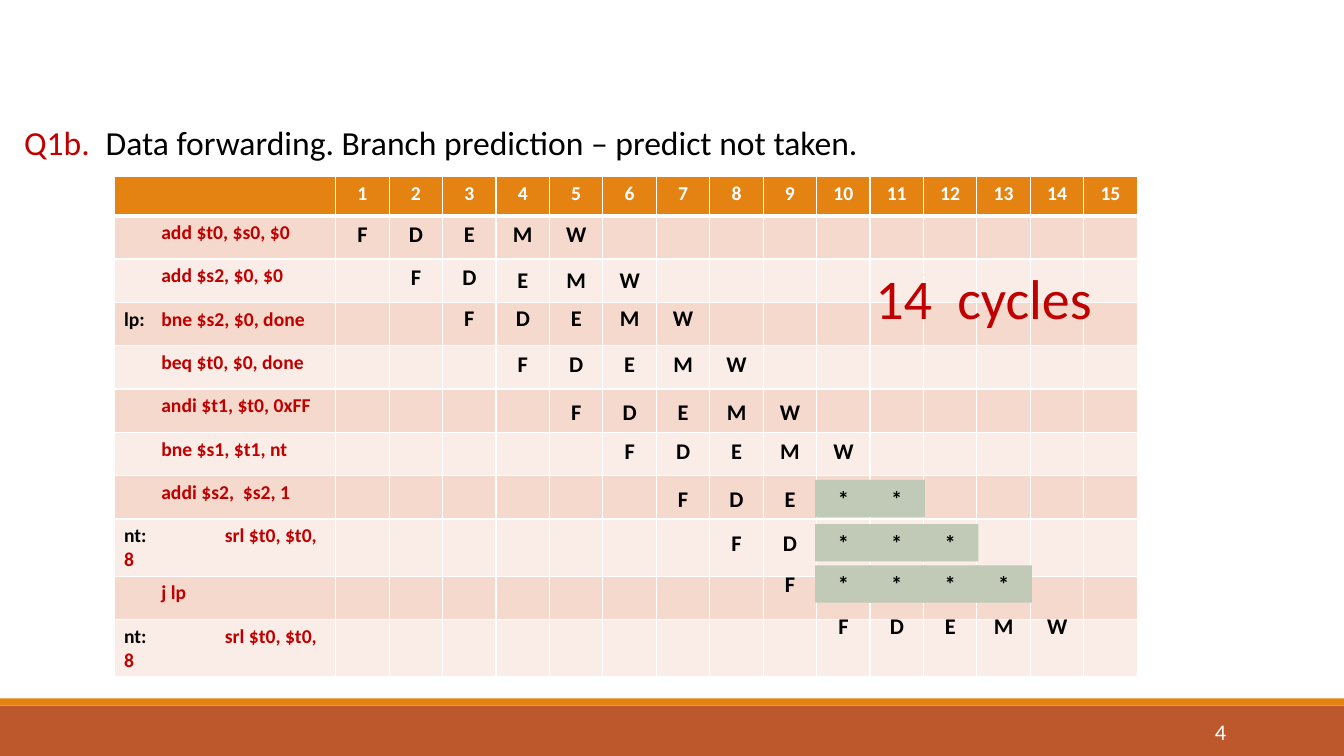
from lxml.etree import SubElement
from pptx import Presentation
from pptx.dml.color import RGBColor
from pptx.enum.shapes import MSO_SHAPE as Preset
from pptx.enum.text import MSO_ANCHOR as Anchor, PP_ALIGN as Align
from pptx.oxml.ns import qn
from pptx.util import Inches, Pt

WIDTH, HEIGHT = 13.33, 7.5
FONT = "Calibri"
COLOURS = {
    "orange": "E48312", "rust": "BD582C", "red": "C00000", "black": "000000",
    "white": "FFFFFF", "band": "F5D9CC", "light band": "FAEDE7", "flushed": "C1CAB6",
}
CYCLES = 15
LABEL_WIDTH, CYCLE_WIDTH = 2.2, 0.53
HEADER_HEIGHT, ROW_HEIGHT = 0.39, 0.43
STAGE_WIDTH, FLUSHED_WIDTH, STAGE_HEIGHT = 0.59, 0.56, 0.37
TAB_STOP, WIDE_TAB_STOP = 0.37, 1.0

# label, instruction, stages, stages typed in the table, drop of the others below the table top
# The instruction in row n is fetched in cycle n.
PROGRAM = [
    ("", "add $t0, $s0, $0", "FDEMW", 5, 0),
    ("", "add $s2, $0, $0", "FDEMW", 2, 0.84),
    ("lp:", "bne $s2, $0, done", "FDEMW", 0, 1.22),
    ("", "beq $t0, $0, done", "FDEMW", 0, 1.67),
    ("", "andi $t1, $t0, 0xFF", "FDEMW", 0, 2.15),
    ("", "bne $s1, $t1, nt", "FDEMW", 0, 2.54),
    ("", "addi $s2,  $s2, 1", "FDE**", 0, 3.01),
    ("nt: ", "srl $t0, $t0, 8", "FD***", 0, 3.45),
    ("", "j lp", "F****", 0, 3.86),
    ("nt: ", "srl $t0, $t0, 8", "FDEMW", 0, 4.27),
]


def rgb(name):
    return RGBColor.from_string(COLOURS[name])


def style_run(run, size, colour, bold=False):
    run.font.name = FONT
    run.font.size = Pt(size)
    run.font.bold = bold
    run.font.color.rgb = rgb(colour)


def write(frame, text, size, colour, bold=False, align=Align.CENTER):
    paragraph = frame.paragraphs[0]
    paragraph.text = text
    paragraph.alignment = align
    style_run(paragraph.runs[0], size, colour, bold)


def add_bar(slide, box, colour):
    bar = slide.shapes.add_shape(Preset.RECTANGLE, *map(Inches, box))
    bar.shadow.inherit = False
    bar.fill.solid()
    bar.fill.fore_color.rgb = rgb(colour)
    bar.line.fill.background()
    return bar


def add_text(slide, box, text, size, colour, bold=False, align=Align.CENTER, anchor=Anchor.TOP):
    frame = slide.shapes.add_textbox(*map(Inches, box)).text_frame
    frame.word_wrap = True
    frame.vertical_anchor = anchor
    write(frame, text, size, colour, bold, align)


def paint_cell(cell, colour, bottom_width=1):
    """Give the cell white borders and a plain fill."""
    properties = cell._tc.get_or_add_tcPr()
    for side, width in (("L", 1), ("R", 1), ("T", 1), ("B", bottom_width)):
        border = SubElement(properties, qn(f"a:ln{side}"), w=str(Pt(width)))
        SubElement(SubElement(border, qn("a:solidFill")), qn("a:srgbClr"), val=COLOURS["white"])
    cell.fill.solid()
    cell.fill.fore_color.rgb = rgb(colour)


def write_instruction(cell, label, instruction):
    paragraph = cell.text_frame.paragraphs[0]
    for text, colour in ((label + "\t", "black"), (instruction, "red")):
        run = paragraph.add_run()
        run.text = text
        style_run(run, 14, colour, True)
    stop = WIDE_TAB_STOP if label.endswith(" ") else TAB_STOP
    tabs = SubElement(paragraph._p.get_or_add_pPr(), qn("a:tabLst"))
    SubElement(tabs, qn("a:tab"), pos=str(Inches(stop)), algn="l")


def add_pipeline_table(slide, left, top):
    width = LABEL_WIDTH + CYCLES * CYCLE_WIDTH
    height = HEADER_HEIGHT + len(PROGRAM) * ROW_HEIGHT
    table = slide.shapes.add_table(len(PROGRAM) + 1, CYCLES + 1,
                                   *map(Inches, (left, top, width, height))).table
    for index, column in enumerate(table.columns):
        column.width = Inches(CYCLE_WIDTH if index else LABEL_WIDTH)
    for index, row in enumerate(table.rows):
        row.height = Inches(ROW_HEIGHT if index else HEADER_HEIGHT)
        band = "band" if index % 2 else "light band"
        for cell in row.cells:
            paint_cell(cell, band if index else "orange", 1 if index else 3)
    corner = table.cell(0, 0)
    corner.margin_top = corner.margin_bottom = 0
    for cycle in range(1, CYCLES + 1):
        write(table.cell(0, cycle).text_frame, str(cycle), 14, "white", True)
    for row, (label, instruction, stages, typed, _) in enumerate(PROGRAM, 1):
        write_instruction(table.cell(row, 0), label, instruction)
        for cycle, stage in enumerate(stages[:typed], row):
            write(table.cell(row, cycle).text_frame, stage, 16, "black", True)


def add_stages(slide, left, top):
    """Lay the remaining stages over the table, each centred on its cycle."""
    for row, (_, _, stages, typed, drop) in enumerate(PROGRAM, 1):
        for cycle, stage in enumerate(stages[typed:], row + typed):
            middle = left + LABEL_WIDTH + (cycle - 0.5) * CYCLE_WIDTH
            width = FLUSHED_WIDTH if stage == "*" else STAGE_WIDTH
            box = (middle - width / 2, top + drop, width, STAGE_HEIGHT)
            if stage == "*":
                frame = add_bar(slide, box, "flushed").text_frame
                frame.vertical_anchor = Anchor.TOP
                write(frame, stage, 16, "black", True)
            else:
                add_text(slide, box, stage, 16, "black", True)


def add_footer(slide, top, height):
    add_bar(slide, (0, top, WIDTH, height), "rust")
    add_bar(slide, (0, top - 0.07, WIDTH, 0.07), "orange")
    add_text(slide, (10.83, top + 0.06, 1.43, 0.4), "4", 16, "white",
             align=Align.RIGHT, anchor=Anchor.MIDDLE)


def add_question(slide, left, top):
    add_text(slide, (left, top, 0.99, 0.5), "Q1b.", 24, "red")
    add_text(slide, (left + 0.88, top, 9.04, 0.5),
             "Data forwarding. Branch prediction – predict not taken.", 24, "black",
             align=Align.LEFT)


def main():
    deck = Presentation()
    deck.slide_width, deck.slide_height = Inches(WIDTH), Inches(HEIGHT)
    slide = deck.slides.add_slide(deck.slide_layouts[6])
    add_footer(slide, 7, 0.5)
    add_question(slide, 0.07, 1.16)
    add_pipeline_table(slide, 1.13, 1.75)
    add_stages(slide, 1.13, 1.75)
    add_text(slide, (8.37, 2.57, 2.77, 0.77), "14  cycles", 40, "red")
    deck.save("out.pptx")


if __name__ == "__main__":
    main()
